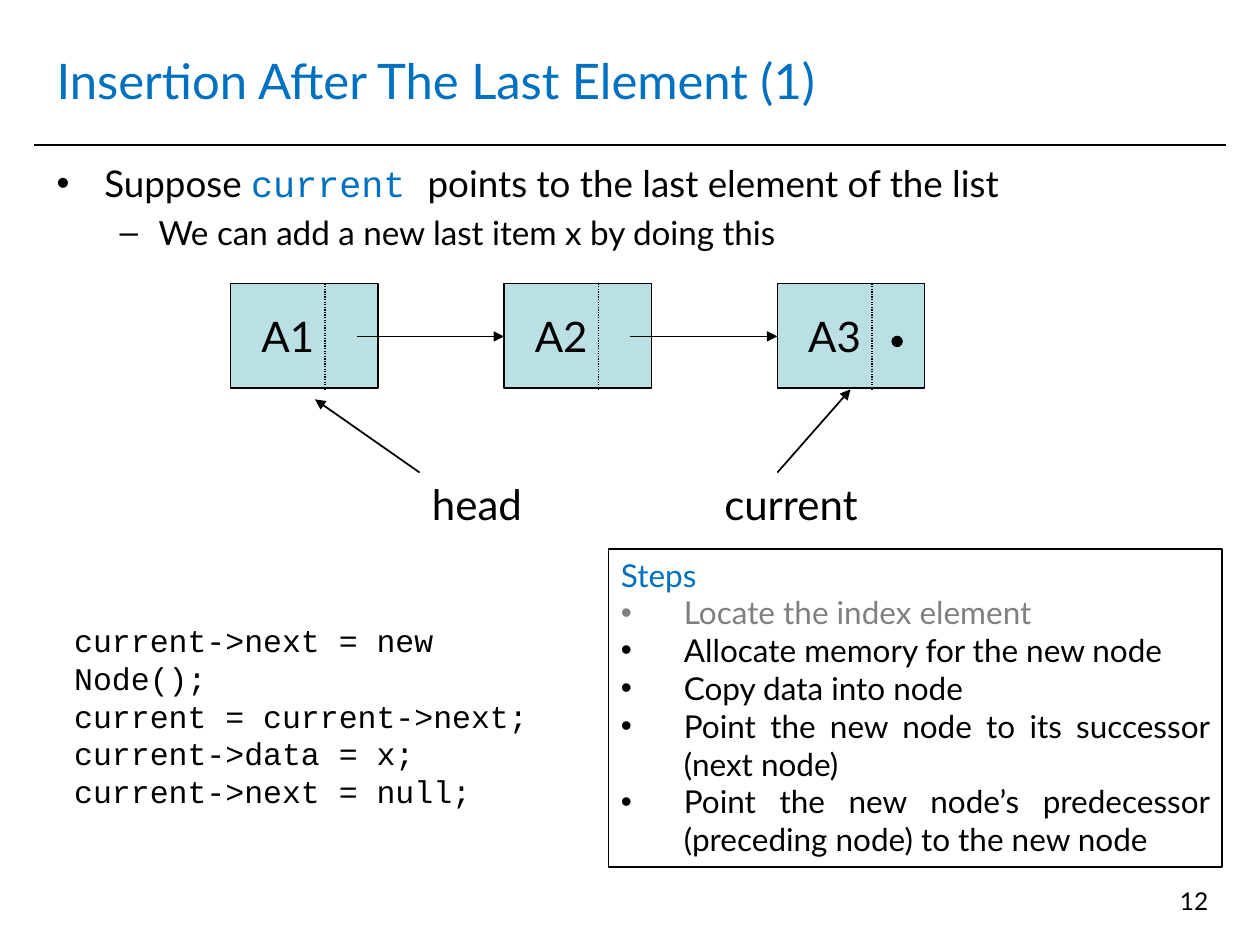
from lxml.etree import SubElement
from pptx import Presentation
from pptx.dml.color import RGBColor
from pptx.enum.dml import MSO_LINE
from pptx.enum.shapes import MSO_CONNECTOR, MSO_SHAPE
from pptx.enum.text import MSO_ANCHOR, PP_ALIGN
from pptx.oxml.ns import qn
from pptx.util import Pt

SCALE = 9144
SANS, MONO = "Lato", "Courier New"
HUES = {"ink": "000000", "blue": "0070C0", "gray": "808080", "node": "BBE0E3"}


def px(n):
    return round(n * SCALE)


def hue(name):
    return RGBColor.from_string(HUES[name])


def add_run(para, text, size, color="ink", font=SANS):
    run = para.add_run()
    run.text = text
    run.font.size = Pt(size)
    run.font.name = font
    run.font.color.rgb = hue(color)


def add_text(slide, box, wrap=True):
    shape = slide.shapes.add_textbox(*map(px, box))
    shape.text_frame.word_wrap = wrap
    return shape.text_frame


def next_para(frame, first):
    return frame.paragraphs[0] if first else frame.add_paragraph()


def add_mark(para, char, left, hang, color="ink"):
    props = para._p.get_or_add_pPr()
    props.set("marL", str(px(left)))
    props.set("indent", str(-px(hang)))
    tint = SubElement(props, qn("a:buClr"))
    SubElement(tint, qn("a:srgbClr"), val=HUES[color])
    SubElement(props, qn("a:buFont"), typeface="Arial")
    SubElement(props, qn("a:buChar"), char=char)


def add_line(slide, start, end, width=1, dash=None, arrow=False):
    line = slide.shapes.add_connector(
        MSO_CONNECTOR.STRAIGHT, *map(px, start + end))
    line.line.color.rgb = hue("ink")
    line.line.width = Pt(width)
    if dash:
        line.line.dash_style = dash
    if arrow:
        SubElement(line.line._get_or_add_ln(), qn("a:tailEnd"),
                   type="triangle", w="med", len="med")
    SubElement(line._element.spPr, qn("a:effectLst"))


def add_form(slide, kind, box, fill=None, width=0.75):
    shape = slide.shapes.add_shape(kind, *map(px, box))
    shape.shadow.inherit = False
    if fill:
        shape.fill.solid()
        shape.fill.fore_color.rgb = hue(fill)
    else:
        shape.fill.background()
    shape.line.color.rgb = hue("ink")
    shape.line.width = Pt(width)
    return shape


def draw_title(slide, box):
    x, y, w, h = box
    add_line(slide, (x - 8, y + 94), (x + w + 9, y + 94))
    frame = add_text(slide, box)
    frame.vertical_anchor = MSO_ANCHOR.MIDDLE
    add_run(frame.paragraphs[0], "Insertion After The Last Element (1)", 28, "blue")


def draw_intro(slide, box):
    frame = add_text(slide, box)
    items = [
        ("•", 38, 38, 21, [("Suppose ", "ink", SANS),
                           ("current ", "blue", MONO),
                           ("points to the last element of the list", "ink", SANS)]),
        ("–", 81, 31, 19, [("We can add a new last item x by doing this", "ink", SANS)]),
    ]
    for i, (char, left, hang, size, runs) in enumerate(items):
        para = next_para(frame, i == 0)
        para.space_before = Pt(size * 0.2)
        add_mark(para, char, left, hang)
        for text, color, font in runs:
            add_run(para, text, size, color, font)


def draw_node(slide, box, name):
    x, y, w, h = box
    frame = add_form(slide, MSO_SHAPE.RECTANGLE, box, "node").text_frame
    frame.margin_right = px(36)
    frame.vertical_anchor = MSO_ANCHOR.MIDDLE
    para = frame.paragraphs[0]
    para.alignment = PP_ALIGN.CENTER
    add_run(para, name, 24)
    add_line(slide, (x + 75, y), (x + 75, y + h + 1), 0.75, MSO_LINE.ROUND_DOT)


def draw_list(slide, box):
    x, y, w, h = box
    wide, high, step = 117, 83, 217
    names = ["A1", "A2", "A3"]
    for i, name in enumerate(names):
        draw_node(slide, (x + i * step, y, wide, high), name)
    for i in range(len(names) - 1):
        left = x + i * step
        add_line(slide, (left + 100, y + 42), (left + step, y + 42), arrow=True)
    add_form(slide, MSO_SHAPE.OVAL, (x + 525, y + 42, 8, 8), "ink")
    refs = [("head", 150, 93, (150, 67, 92)),
            ("current", 382, 126, (434, 492, 84))]
    for name, left, width, (tail, tip, top) in refs:
        frame = add_text(slide, (x + left, y + 150, width, 50), False)
        add_run(frame.paragraphs[0], name, 24)
        add_line(slide, (x + tail, y + 150), (x + tip, y + top), arrow=True)


def draw_code(slide, box):
    frame = add_text(slide, box)
    lines = ["current->next = new Node();", "current = current->next;",
             "current->data = x;", "current->next = null;"]
    for i, text in enumerate(lines):
        add_run(next_para(frame, i == 0), text, 18, font=MONO)


def draw_steps(slide, box):
    frame = add_form(slide, MSO_SHAPE.RECTANGLE, box, width=1).text_frame
    frame.word_wrap = True
    frame.vertical_anchor = MSO_ANCHOR.TOP
    head = frame.paragraphs[0]
    head.alignment = PP_ALIGN.LEFT
    add_run(head, "Steps", 18, "blue")
    steps = [
        ("Locate the index element", "gray"),
        ("Allocate memory for the new node", "ink"),
        ("Copy data into node", "ink"),
        ("Point the new node to its successor (next node)", "ink"),
        ("Point the new node’s predecessor (preceding node) to the new node", "ink"),
    ]
    for text, color in steps:
        para = frame.add_paragraph()
        para.alignment = PP_ALIGN.JUSTIFY
        add_mark(para, "•", 50, 50, color)
        add_run(para, text, 18, color)


def draw_foot(slide, box):
    para = add_text(slide, box).paragraphs[0]
    para.alignment = PP_ALIGN.RIGHT
    add_run(para, "12", 14)


def main():
    deck = Presentation()
    deck.slide_width, deck.slide_height = px(1000), px(750)
    slide = deck.slides.add_slide(deck.slide_layouts[6])
    draw_title(slide, (35, 21, 929, 85))
    draw_intro(slide, (35, 123, 929, 91))
    draw_list(slide, (183, 225, 551, 200))
    draw_code(slide, (49, 488, 402, 162))
    draw_steps(slide, (483, 436, 487, 252))
    draw_foot(slide, (736, 698, 233, 52))
    deck.save("out.pptx")


if __name__ == "__main__":
    main()
